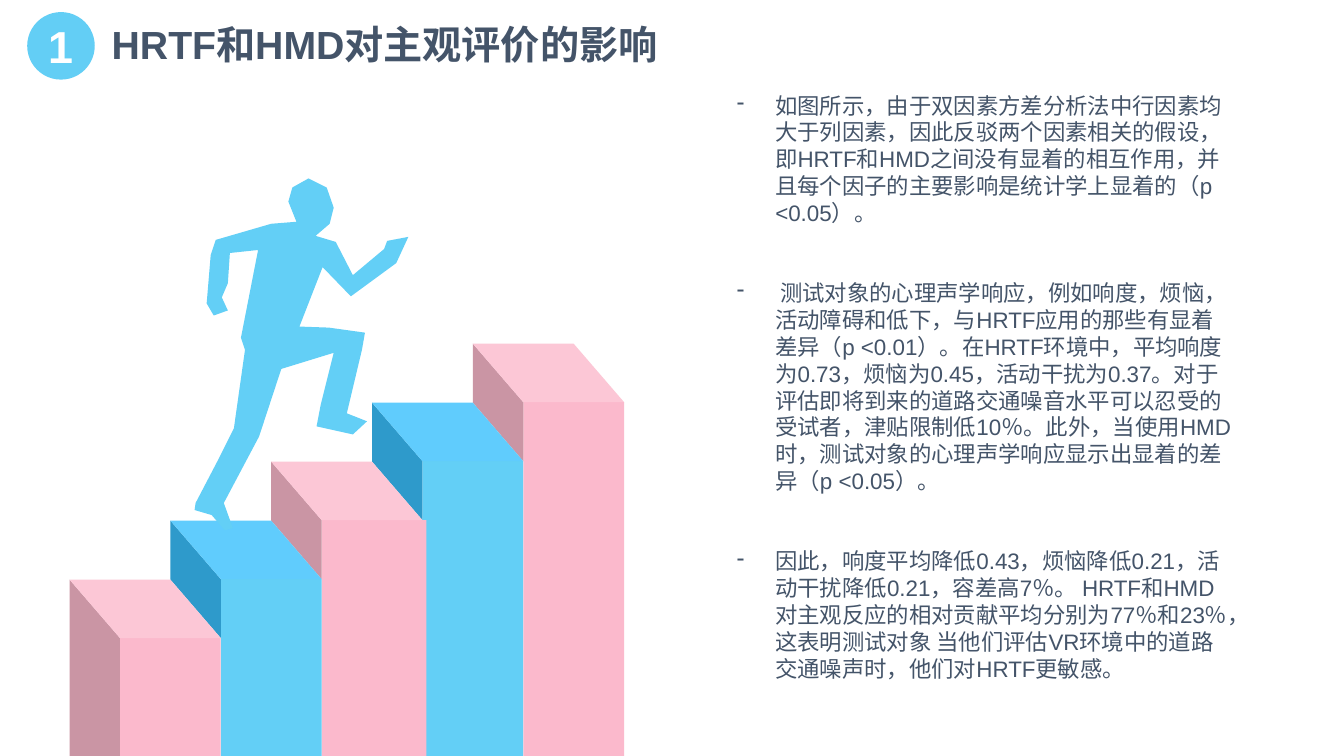
from lxml import etree
from pptx import Presentation
from pptx.dml.color import RGBColor
from pptx.enum.shapes import MSO_SHAPE
from pptx.enum.text import PP_ALIGN
from pptx.oxml.ns import qn
from pptx.util import Inches, Pt

RECT, OVAL = MSO_SHAPE.RECTANGLE, MSO_SHAPE.OVAL
LEFT, CENTER = PP_ALIGN.LEFT, PP_ALIGN.CENTER

COLORS = {
    "ink": "445469", "white": "FFFFFF", "badge": "00B0F0", "runner": "63CFF6",
    "pink_front": "FBB9CC", "pink_side": "CA95A4", "pink_top": "FCC7D6",
    "blue_front": "63CFF6", "blue_side": "2E9ACB", "blue_top": "60CCFD",
}

# Staircase geometry in inches
STEP_COUNT = 5
STEP_LEFT, STEP_TOP, STEP_BOTTOM = 0.69, 5.75, 8.14
STEP_WIDTH, STEP_RISE = 1.0, 0.585
DEPTH_X, DEPTH_Y = 0.5, 0.58
MIDDLE_STEP, MIDDLE_WIDTH = 2, 1.04

# Runner, clockwise from the raised hand
RUNNER = [
    (4.05, 2.35), (3.84, 2.39), (3.81, 2.47), (3.5, 2.73), (3.33, 2.4), (3.13, 2.34),
    (3.27, 2.22), (3.31, 2.06), (3.24, 1.86), (3.06, 1.77), (2.9, 1.86), (2.86, 2),
    (2.94, 2.2), (2.69, 2.22), (2.14, 2.38), (2.09, 2.53), (2.05, 3.01), (2.12, 3.13),
    (2.26, 3.08), (2.2, 2.95), (2.26, 2.81), (2.28, 2.51), (2.56, 2.48), (2.39, 3.35),
    (2.43, 3.47), (2.32, 4.25), (2.17, 4.55), (1.94, 4.99), (1.93, 5.06), (2.1, 5.11),
    (2.23, 5.26), (2.31, 5.24), (2.22, 4.99), (2.57, 4.33), (2.79, 3.66), (3.31, 3.5),
    (3.18, 4.02), (3.14, 4.23), (3.5, 4.31), (3.64, 4.18), (3.44, 4.1), (3.59, 3.47),
    (3.62, 3.3), (3.26, 3.25), (2.97, 3.24), (3.2, 2.65), (3.48, 2.94), (3.93, 2.61),
]

FINDINGS = [
    "如图所示，由于双因素方差分析法中行因素均大于列因素，因此反驳两个因素相关的假设，"
    "即HRTF和HMD之间没有显着的相互作用，并且每个因子的主要影响是统计学上显着的（p <0.05）。",
    " 测试对象的心理声学响应，例如响度，烦恼，活动障碍和低下，与HRTF应用的那些有显着差异（p <0.01）。"
    "在HRTF环境中，平均响度为0.73，烦恼为0.45，活动干扰为0.37。"
    "对于评估即将到来的道路交通噪音水平可以忍受的受试者，津贴限制低10％。"
    "此外，当使用HMD时，测试对象的心理声学响应显示出显着的差异（p <0.05）。",
    "因此，响度平均降低0.43，烦恼降低0.21，活动干扰降低0.21，容差高7％。 "
    "HRTF和HMD对主观反应的相对贡献平均分别为77％和23％，"
    "这表明测试对象 当他们评估VR环境中的道路交通噪声时，他们对HRTF更敏感。",
]


class SlideBuilder:
    font_name = "Arial"

    def __init__(self, slide):
        self.slide = slide

    def paint(self, shape, color, alpha=None):
        shape.shadow.inherit = False
        shape.fill.solid()
        shape.fill.fore_color.rgb = RGBColor.from_string(COLORS[color])
        shape.line.fill.background()
        if alpha is not None:
            rgb = shape._element.spPr.find(".//" + qn("a:srgbClr"))
            etree.SubElement(rgb, qn("a:alpha")).set("val", str(alpha * 1000))

    def preset(self, kind, box, color, alpha=None):
        shape = self.slide.shapes.add_shape(kind, *map(Inches, box))
        self.paint(shape, color, alpha)

    def outline(self, points, color):
        (x, y), *rest = [(Inches(px), Inches(py)) for px, py in points]
        builder = self.slide.shapes.build_freeform(x, y)
        builder.add_line_segments(rest, close=True)
        self.paint(builder.convert_to_shape(), color)

    def text(self, box, paragraphs, size, color="ink", bold=False, align=LEFT,
             dashed=False, gap=0, inset=None):
        frame = self.slide.shapes.add_textbox(*map(Inches, box)).text_frame
        frame.word_wrap = True
        if inset is not None:
            frame.margin_left = frame.margin_right = Inches(inset)
            frame.margin_top = frame.margin_bottom = Inches(inset)
        for index, content in enumerate(paragraphs):
            paragraph = frame.add_paragraph() if index else frame.paragraphs[0]
            paragraph.text = content
            paragraph.alignment = align
            if index and gap:
                paragraph.space_before = Pt(gap)
            if dashed:
                self.dash(paragraph)
            font = paragraph.font
            font.name, font.size, font.bold = self.font_name, Pt(size), bold
            font.color.rgb = RGBColor.from_string(COLORS[color])

    def dash(self, paragraph):
        properties = paragraph._p.get_or_add_pPr()
        properties.set("marL", str(Inches(0.38)))
        properties.set("indent", str(-Inches(0.38)))
        etree.SubElement(properties, qn("a:buChar")).set("char", "-")

    def stair(self, step):
        hue = "blue" if step % 2 else "pink"
        back_x = STEP_LEFT + step * STEP_WIDTH
        back_y = STEP_TOP - step * STEP_RISE
        front_x, front_y = back_x + DEPTH_X, back_y + DEPTH_Y
        width = MIDDLE_WIDTH if step == MIDDLE_STEP else STEP_WIDTH
        drop = STEP_RISE if step else STEP_BOTTOM - front_y
        self.preset(RECT, (front_x, front_y, width, STEP_BOTTOM - front_y), hue + "_front")
        self.outline([(front_x, front_y), (back_x, back_y), (back_x, back_y + drop),
                      (front_x, front_y + drop)], hue + "_side")
        self.outline([(back_x + STEP_WIDTH, back_y), (back_x, back_y), (front_x, front_y),
                      (front_x + STEP_WIDTH, front_y)], hue + "_top")


def main():
    deck = Presentation()
    deck.slide_width, deck.slide_height = Inches(13.33), Inches(7.5)
    page = SlideBuilder(deck.slides.add_slide(deck.slide_layouts[6]))

    # Staircase, tallest step at the back, and the runner on it
    for step in reversed(range(STEP_COUNT)):
        page.stair(step)
    page.outline(RUNNER, "runner")

    # Findings
    page.text((7.31, 0.91, 4.93, 5.92), FINDINGS, 16, dashed=True, gap=38, inset=0)

    # Numbered heading
    page.preset(OVAL, (0.27, 0.12, 0.67, 0.67), "badge", alpha=61)
    page.text((0.34, 0.14, 0.52, 0.64), ["1"], 32, "white", bold=True, align=CENTER)
    page.text((1.01, 0.15, 6.93, 1.04), ["HRTF和HMD对主观评价的影响"], 28, bold=True)

    deck.save("out.pptx")


if __name__ == "__main__":
    main()
